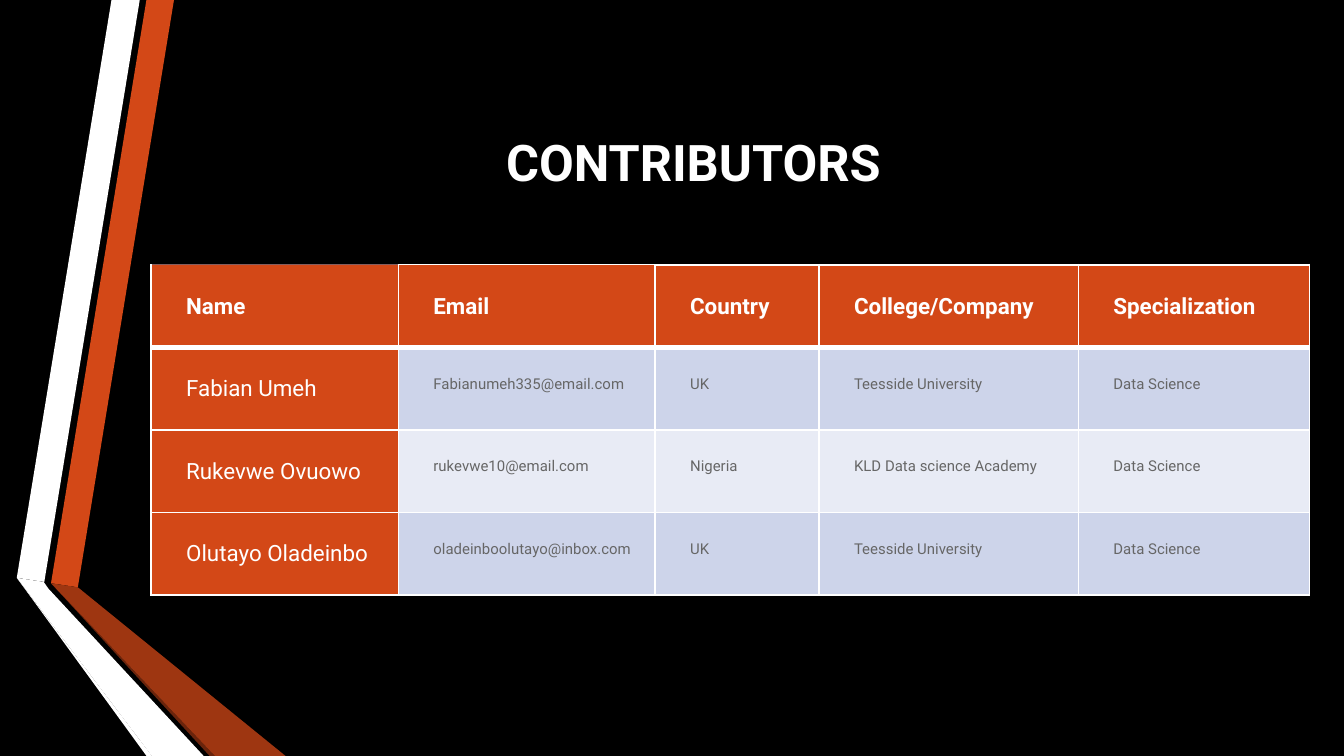
from typing import NamedTuple

from lxml import etree
from pptx import Presentation
from pptx.dml.color import RGBColor
from pptx.enum.text import MSO_ANCHOR, PP_ALIGN
from pptx.oxml.ns import qn
from pptx.util import Pt

PX = 4572
WIDTH, HEIGHT = 2000, 1125
MIDDLE, TOP = MSO_ANCHOR.MIDDLE, MSO_ANCHOR.TOP
LEFT, JUSTIFY = PP_ALIGN.LEFT, PP_ALIGN.JUSTIFY
FONT = "Roboto"
BLACK, WHITE, GRAY = "000000", "FFFFFF", "666666"
ORANGE, RUST, BROWN, MAUVE = "D34817", "9E3611", "69240C", "855D5D"
BANDS = ("CDD4EA", "E8EBF5")


class Ribbon(NamedTuple):
    color: str
    points: tuple[tuple[int, int], ...]


class TextStyle(NamedTuple):
    size: int
    color: str
    bold: bool = False


class Border(NamedTuple):
    color: str
    width: float


RIBBONS = (
    Ribbon(ORANGE, ((76, 868), (116, 874), (259, 0), (218, 0))),
    Ribbon(WHITE, ((208, 0), (166, 0), (25, 860), (66, 866))),
    Ribbon(WHITE, ((25, 860), (218, HEIGHT), (226, HEIGHT))),
    Ribbon(BROWN, ((76, 868), (312, HEIGHT), (320, HEIGHT))),
    Ribbon(RUST, ((76, 868), (320, HEIGHT), (425, HEIGHT), (116, 874))),
    Ribbon(WHITE, ((303, HEIGHT), (72, 876), (65, 866), (25, 860), (226, HEIGHT))),
)

TITLE_STYLE = TextStyle(27, WHITE, True)
HEADER_STYLE = TextStyle(12, WHITE, True)
NAME_STYLE = TextStyle(12, WHITE)
DETAIL_STYLE = TextStyle(8, GRAY)

COLUMN_WIDTHS = (368, 382, 244, 386, 344)
ROW_HEIGHT = 120
PARAGRAPH_INDENT = 20
ROWS = (
    ("Name", "Email", "Country", "College/Company", "Specialization"),
    ("Fabian Umeh", "Fabianumeh335@email.com", "UK", "Teesside University", "Data Science"),
    ("Rukevwe Ovuowo", "rukevwe10@email.com", "Nigeria", "KLD Data science Academy", "Data Science"),
    ("Olutayo Oladeinbo", "oladeinboolutayo@inbox.com", "UK", "Teesside University", "Data Science"),
)
THIN, THICK = Border(WHITE, 1), Border(WHITE, 3)
TITLE_FRAME = {"margin_left": 15 * PX, "margin_right": 15 * PX, "margin_top": 8 * PX,
               "margin_bottom": 8 * PX, "vertical_anchor": MIDDLE, "word_wrap": True}
CELL_FRAME = {"margin_left": 32 * PX, "margin_right": 12 * PX, "margin_top": 40 * PX,
              "margin_bottom": 40 * PX, "vertical_anchor": TOP}


def set_attributes(target, values: dict) -> None:
    for name, value in values.items():
        setattr(target, name, value)


def paint(fill, color: str) -> None:
    fill.solid()
    fill.fore_color.rgb = RGBColor.from_string(color)


def write(paragraph, text: str, style: TextStyle) -> None:
    run = paragraph.add_run()
    run.text = text
    set_attributes(run.font, {"name": FONT, "size": Pt(style.size), "bold": style.bold})
    run.font.color.rgb = RGBColor.from_string(style.color)


def draw_ribbon(slide, ribbon: Ribbon) -> None:
    start, *others = ribbon.points
    builder = slide.shapes.build_freeform(*start, scale=PX)
    builder.add_line_segments(others, close=True)
    shape = builder.convert_to_shape()
    shape.shadow.inherit = False
    paint(shape.fill, ribbon.color)
    shape.line.fill.background()


def draw_title(slide, text: str) -> None:
    shape = slide.shapes.add_textbox(738 * PX, 174 * PX, 650 * PX, 132 * PX)
    set_attributes(shape.text_frame, TITLE_FRAME)
    paragraph = shape.text_frame.paragraphs[0]
    paragraph.alignment = LEFT
    write(paragraph, text, TITLE_STYLE)


def set_borders(cell, borders: dict[str, Border]) -> None:
    properties = cell._tc.get_or_add_tcPr()
    for index, (side, border) in enumerate(borders.items()):
        line = etree.Element(qn(f"a:{side}"), w=str(int(Pt(border.width))))
        fill = etree.SubElement(line, qn("a:solidFill"))
        etree.SubElement(fill, qn("a:srgbClr"), val=border.color)
        properties.insert(index, line)


def draw_cell(cell, text: str, row: int, column: int) -> None:
    if row == 0:
        style = HEADER_STYLE
    else:
        style = NAME_STYLE if column == 0 else DETAIL_STYLE
    paint(cell.fill, ORANGE if row == 0 or column == 0 else BANDS[(row - 1) % 2])
    set_attributes(cell, CELL_FRAME)
    paragraph = cell.text_frame.paragraphs[0]
    set_attributes(paragraph, {"alignment": JUSTIFY, "line_spacing": 1.07})
    properties = paragraph._p.get_or_add_pPr()
    properties.set("marL", str(PARAGRAPH_INDENT * PX))
    properties.set("indent", "0")
    write(paragraph, text, style)
    top = THICK if row == 1 else THIN
    if row == 0 and column < 2:
        top = Border((MAUVE, WHITE)[column], 0.75)
    set_borders(cell, {"lnL": THIN, "lnR": THIN, "lnT": top,
                       "lnB": THICK if row == 0 else THIN})


def draw_table(slide) -> None:
    frame = slide.shapes.add_table(len(ROWS), len(COLUMN_WIDTHS), 225 * PX, 394 * PX,
                                   sum(COLUMN_WIDTHS) * PX, len(ROWS) * ROW_HEIGHT * PX)
    table = frame.table
    for column, width in zip(table.columns, COLUMN_WIDTHS):
        column.width = width * PX
    for row, texts in enumerate(ROWS):
        for column, text in enumerate(texts):
            draw_cell(table.cell(row, column), text, row, column)


def main() -> None:
    presentation = Presentation()
    set_attributes(presentation, {"slide_width": WIDTH * PX, "slide_height": HEIGHT * PX})
    slide = presentation.slides.add_slide(presentation.slide_layouts[6])
    paint(slide.background.fill, BLACK)
    for ribbon in RIBBONS:
        draw_ribbon(slide, ribbon)
    draw_title(slide, "CONTRIBUTORS")
    draw_table(slide)
    presentation.save("out.pptx")


if __name__ == "__main__":
    main()
